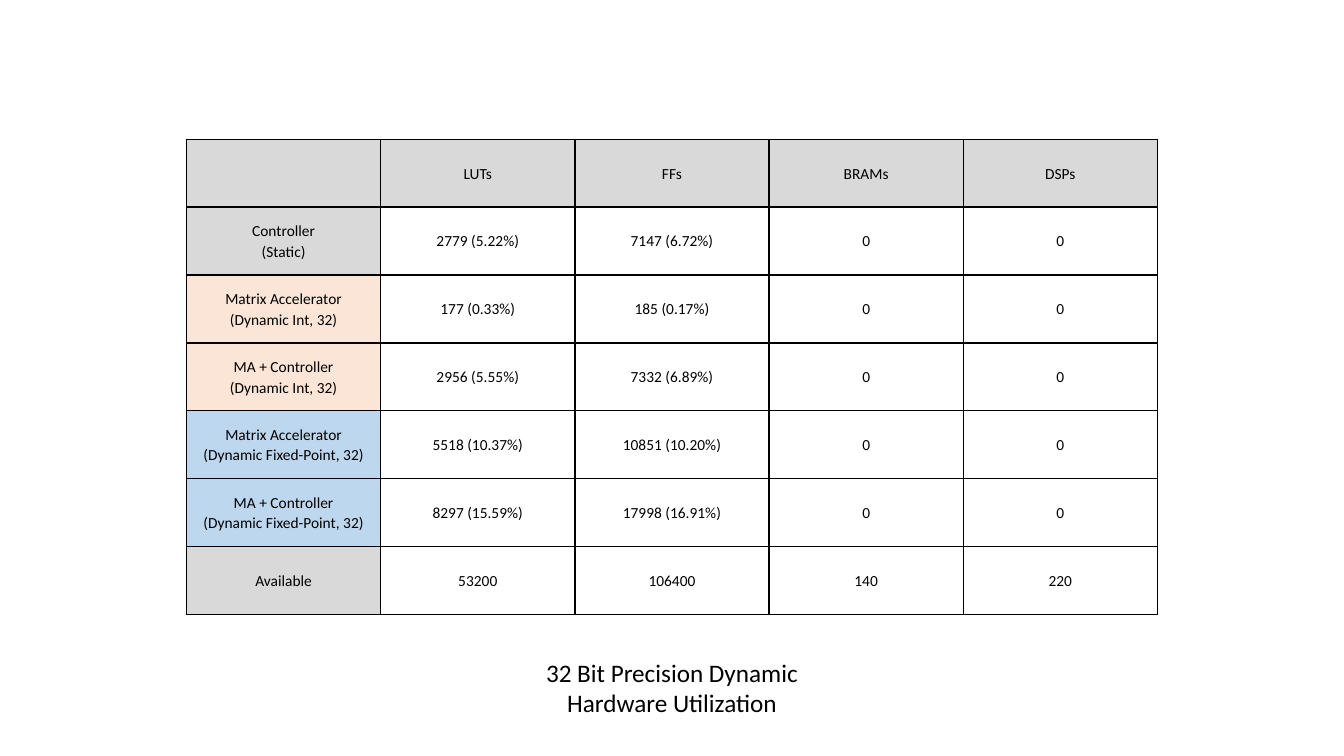
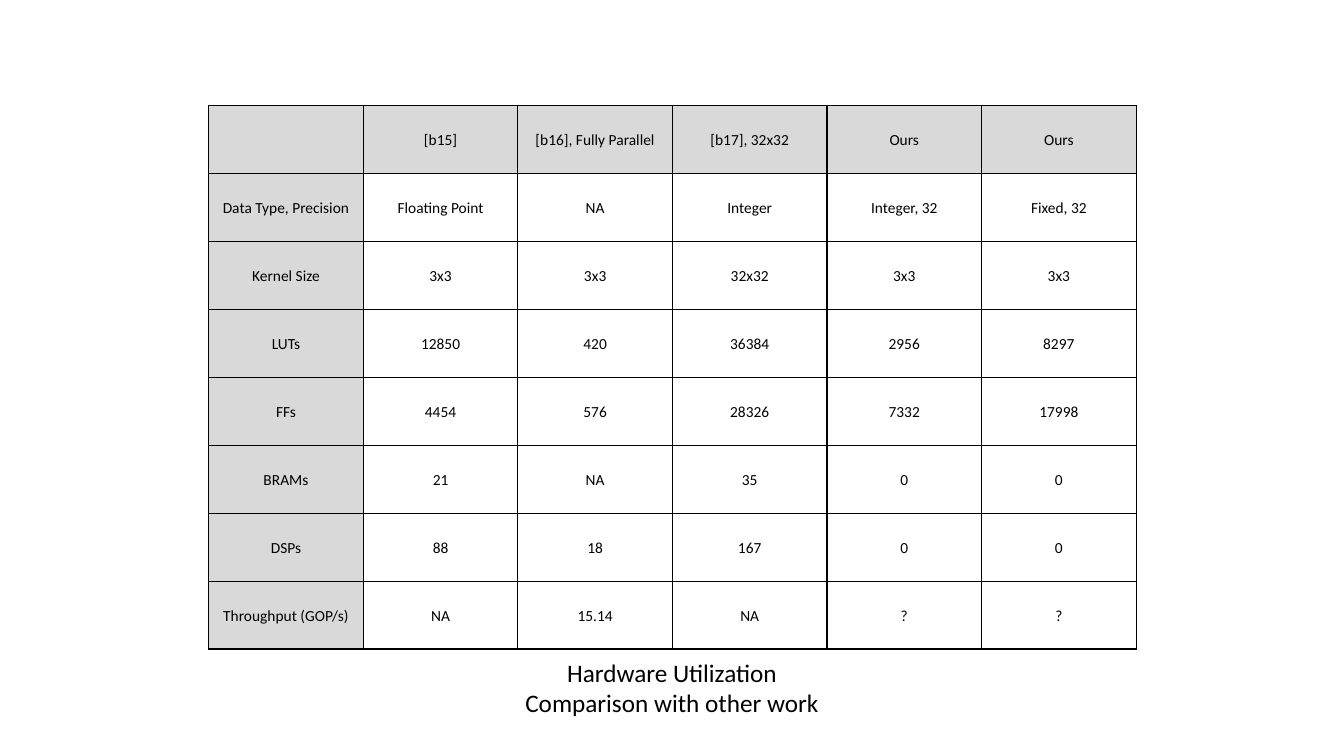
from lxml import etree
from pptx import Presentation
from pptx.dml.color import RGBColor
from pptx.enum.text import MSO_ANCHOR, MSO_AUTO_SIZE, PP_ALIGN
from pptx.oxml.ns import qn
from pptx.util import Inches, Pt

CENTER = PP_ALIGN.CENTER
MIDDLE = MSO_ANCHOR.MIDDLE
GROW = MSO_AUTO_SIZE.SHAPE_TO_FIT_TEXT
FONT = "Calibri"
BLACK, WHITE, GREY = "000000", "FFFFFF", "D9D9D9"
PEACH, BLUE = "FBE5D6", "BDD7EE"


def color(value):
    return RGBColor.from_string(value)


def write(frame, text, size, spacing=None):
    for index, line in enumerate(text.split("\n")):
        para = frame.add_paragraph() if index else frame.paragraphs[0]
        para.alignment = CENTER
        if spacing:
            para.line_spacing = spacing
        span = para.add_run()
        span.text = line
        span.font.size = Pt(size)
        span.font.name = FONT
        span.font.color.rgb = color(BLACK)


precision_rows = [
    ["", "LUTs", "FFs", "BRAMs", "DSPs"],
    ["Controller\n(Static)", "2779 (5.22%)", "7147 (6.72%)", "0", "0"],
    ["Matrix Accelerator\n(Dynamic Int, 32)", "177 (0.33%)", "185 (0.17%)", "0", "0"],
    ["MA + Controller\n(Dynamic Int, 32)", "2956 (5.55%)", "7332 (6.89%)", "0", "0"],
    ["Matrix Accelerator\n(Dynamic Fixed-Point, 32)", "5518 (10.37%)", "10851 (10.20%)", "0", "0"],
    ["MA + Controller\n(Dynamic Fixed-Point, 32)", "8297 (15.59%)", "17998 (16.91%)", "0", "0"],
    ["Available", "53200", "106400", "140", "220"],
]
comparison_rows = [
    ["", "[b15]", "[b16], Fully Parallel", "[b17], 32x32", "Ours", "Ours"],
    ["Data Type, Precision", "Floating Point", "NA", "Integer", "Integer, 32", "Fixed, 32"],
    ["Kernel Size", "3x3", "3x3", "32x32", "3x3", "3x3"],
    ["LUTs", "12850", "420", "36384", "2956", "8297"],
    ["FFs", "4454", "576", "28326", "7332", "17998"],
    ["BRAMs", "21", "NA", "35", "0", "0"],
    ["DSPs", "88", "18", "167", "0", "0"],
    ["Throughput (GOP/s)", "NA", "15.14", "NA", "?", "?"],
]
precision_fills = {2: PEACH, 3: PEACH, 4: BLUE, 5: BLUE}
slides = [
    ("32 Bit Precision Dynamic\nHardware Utilization",
     precision_rows, precision_fills, (1.85, 1.38, 9.63, 4.72)),
    ("Hardware Utilization Comparison with other work",
     comparison_rows, {}, (2.07, 1.05, 9.2, 5.39)),
]

deck = Presentation()
deck.slide_width = Inches(13.33)
deck.slide_height = Inches(7.5)

for caption, rows, label_fills, area in slides:
    page = deck.slides.add_slide(deck.slide_layouts[6])
    place = [Inches(length) for length in area]
    table = page.shapes.add_table(len(rows), len(rows[0]), *place).table
    table.horz_banding = False
    table.first_row = False
    for row_index, row in enumerate(rows):
        for column_index, text in enumerate(row):
            cell = table.cell(row_index, column_index)
            cell.vertical_anchor = MIDDLE
            cell.margin_left = cell.margin_right = Inches(0.07)
            cell.margin_top = cell.margin_bottom = 0
            properties = cell._tc.get_or_add_tcPr()
            for side in ("a:lnL", "a:lnR", "a:lnT", "a:lnB"):
                border = etree.SubElement(properties, qn(side), w=str(Pt(1)))
                paint = etree.SubElement(border, qn("a:solidFill"))
                etree.SubElement(paint, qn("a:srgbClr"), val=BLACK)
            if row_index == 0:
                fill = GREY
            elif column_index == 0:
                fill = label_fills.get(row_index, GREY)
            else:
                fill = WHITE
            cell.fill.solid()
            cell.fill.fore_color.rgb = color(fill)
            if text:
                write(cell.text_frame, text, size=11, spacing=1.07)

    box = page.shapes.add_textbox(Inches(4.97), Inches(6.47), Inches(3.39), Inches(0.71))
    box.text_frame.word_wrap = True
    box.text_frame.auto_size = GROW
    write(box.text_frame, caption, size=18)

deck.save("out.pptx")
